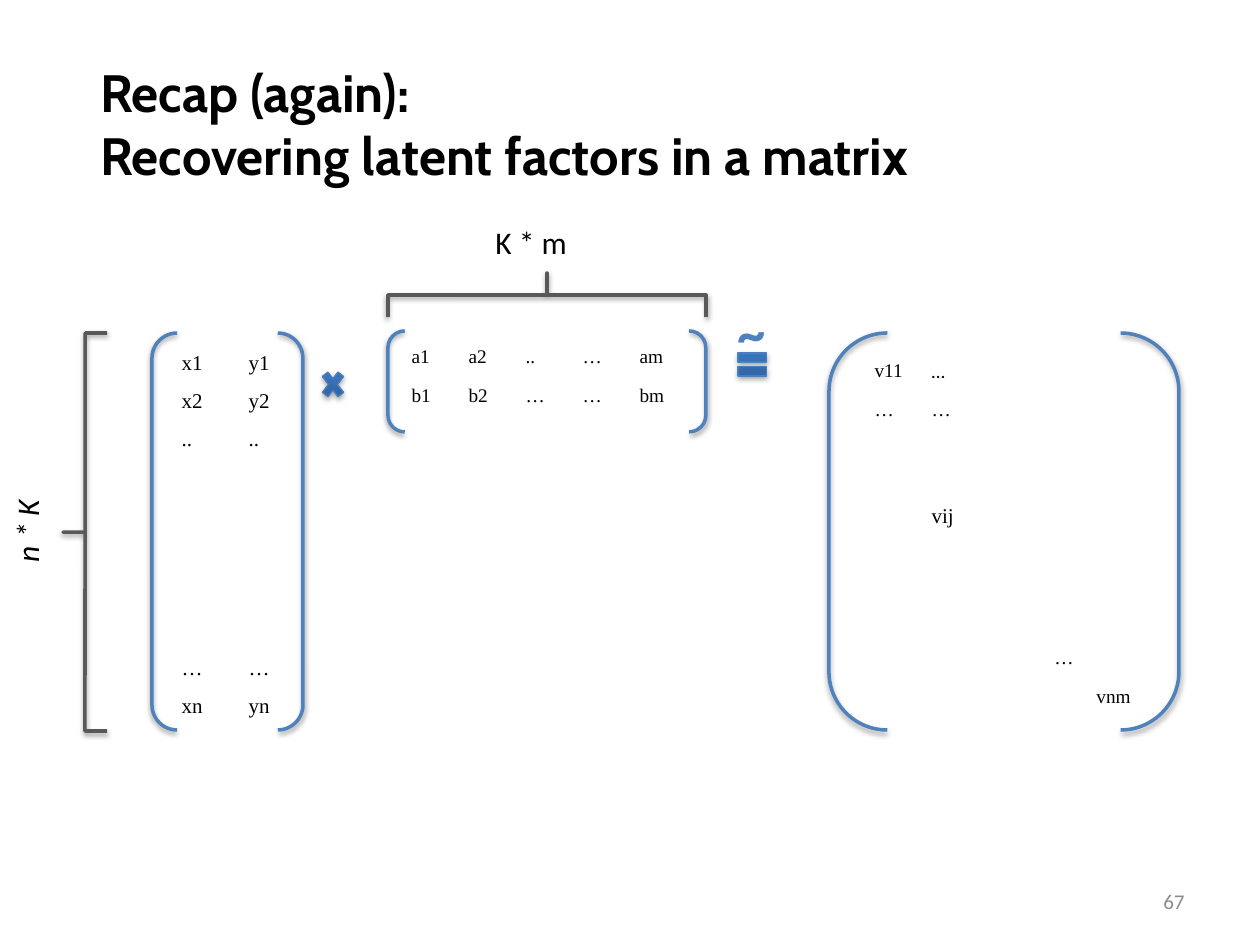
from dataclasses import dataclass, field
from typing import Any

from lxml.etree import SubElement
from pptx import Presentation
from pptx.dml.color import RGBColor
from pptx.enum.shapes import MSO_SHAPE
from pptx.enum.text import MSO_ANCHOR, MSO_AUTO_SIZE, PP_ALIGN
from pptx.oxml.ns import qn
from pptx.util import Emu, Pt

EMU_PER_PX = 914400 // 126


@dataclass(frozen=True)
class Theme:
    black: str = "000000"
    blue: str = "4F81BD"
    operator_line: str = "4B7EBC"
    operator_dark: str = "2F5F99"
    operator_light: str = "3D7CC7"
    brace: str = "595959"
    number: str = "8C8C8C"
    heading_font: str = "Cabin"
    body_font: str = "Calibri"
    matrix_font: str = "Times New Roman"
    title_size: int = 30
    tilde_size: int = 32
    label_size: int = 18
    number_size: int = 12
    large_cell: int = 12
    small_cell: int = 11


THEME = Theme()


@dataclass(frozen=True)
class Box:
    left: int
    top: int
    width: int
    height: int

    def emu(self) -> list[Emu]:
        return [px(value) for value in (self.left, self.top, self.width, self.height)]


@dataclass(frozen=True)
class Label:
    text: str
    box: Box
    size: int
    color: str = THEME.black
    font: dict[str, Any] = field(default_factory=dict)
    frame: dict[str, Any] = field(default_factory=dict)
    align: PP_ALIGN = PP_ALIGN.LEFT
    rotation: int = 0


@dataclass(frozen=True)
class Outline:
    kind: MSO_SHAPE
    box: Box
    color: str = THEME.blue
    rotation: int = 0
    adjustments: tuple[float, ...] = ()


@dataclass(frozen=True)
class Matrix:
    left: int
    top: int
    columns: list[int]
    row_height: int
    row_count: int
    size: int
    entries: dict[tuple[int, int], str]
    fonts: dict[tuple[int, int], str] = field(default_factory=dict)


def row(index: int, *texts: str) -> dict[tuple[int, int], str]:
    """Place texts in one matrix row, starting at the first column."""
    return {(index, column): text for column, text in enumerate(texts)}


NO_MARGINS = dict.fromkeys(("margin_left", "margin_top", "margin_right", "margin_bottom"), 0)
NO_WRAP = {"word_wrap": False}
BRACE = (0, 0.5)

LABELS = [
    Label("Recap (again):\vRecovering latent factors in a matrix", Box(100, 60, 1014, 127),
          THEME.title_size, font={"name": THEME.heading_font, "bold": True}, frame=NO_MARGINS),
    Label("K * m", Box(483, 217, 102, 50), THEME.label_size, frame=NO_WRAP),
    Label("n * K", Box(-20, 503, 93, 50), THEME.label_size,
          font={"italic": True}, frame=NO_WRAP, rotation=270),
    Label("~", Box(725, 291, 59, 81), THEME.tilde_size, THEME.blue,
          font={"bold": True}, frame=NO_WRAP),
    Label("67", Box(903, 876, 294, 50), THEME.number_size, THEME.number,
          frame={"vertical_anchor": MSO_ANCHOR.MIDDLE}, align=PP_ALIGN.RIGHT),
]

OUTLINES = [
    Outline(MSO_SHAPE.DOUBLE_BRACKET, Box(152, 333, 151, 397)),
    Outline(MSO_SHAPE.DOUBLE_BRACKET, Box(388, 331, 318, 101)),
    Outline(MSO_SHAPE.DOUBLE_BRACKET, Box(829, 333, 350, 397)),
    Outline(MSO_SHAPE.RIGHT_BRACE, Box(525, 136, 44, 318), THEME.brace, 270, BRACE),
    Outline(MSO_SHAPE.RIGHT_BRACE, Box(63, 333, 44, 398), THEME.brace, 180, BRACE),
]

OPERATORS = [
    Outline(MSO_SHAPE.MATH_MULTIPLY, Box(318, 365, 30, 39), THEME.operator_line),
    Outline(MSO_SHAPE.MATH_EQUAL, Box(733, 345, 39, 39), THEME.operator_line),
]

FIVE_COLUMNS = [57] * 5
MATRICES = [
    Matrix(169, 345, [67, 67], 38, 10, THEME.large_cell,
           row(0, "x1", "y1") | row(1, "x2", "y2") | row(2, "..", "..")
           | row(8, "…", "…") | row(9, "xn", "yn")),
    Matrix(399, 340, FIVE_COLUMNS, 39, 2, THEME.small_cell,
           row(0, "a1", "a2", "..", "…", "am") | row(1, "b1", "b2", "…", "…", "bm")),
    Matrix(862, 354, FIVE_COLUMNS, 39, 2, THEME.small_cell,
           row(0, "v11", "…") | row(1, "…", "…"), {(0, 1): THEME.body_font}),
    Matrix(862, 460, FIVE_COLUMNS, 39, 2, THEME.large_cell, {(1, 1): "vij"}),
    Matrix(862, 641, [60, 60, 60, 42, 78], 39, 2, THEME.small_cell,
           {(0, 3): "…", (1, 4): "vnm"}),
]


def px(value: int) -> Emu:
    return Emu(value * EMU_PER_PX)


def apply_format(target: Any, values: dict[str, Any]) -> None:
    for name, value in values.items():
        setattr(target, name, value)


def style_font(font: Any, size: int, color: str, values: dict[str, Any]) -> None:
    apply_format(font, {"name": THEME.body_font, "size": Pt(size)} | values)
    font.color.rgb = RGBColor.from_string(color)


def draw_label(slide: Any, label: Label) -> None:
    shape = slide.shapes.add_textbox(*label.box.emu())
    shape.rotation = label.rotation
    apply_format(shape.text_frame, {"word_wrap": True,
                                    "auto_size": MSO_AUTO_SIZE.SHAPE_TO_FIT_TEXT} | label.frame)
    paragraph = shape.text_frame.paragraphs[0]
    paragraph.text = label.text
    paragraph.alignment = label.align
    for run in paragraph.runs:
        style_font(run.font, label.size, label.color, label.font)


def add_shadow(shape: Any, opacity: int) -> None:
    shape.shadow.inherit = False
    effects = shape._element.spPr.find(qn("a:effectLst"))
    shadow = SubElement(effects, qn("a:outerShdw"), blurRad=str(Pt(3.1)), dist=str(Pt(1.6)),
                        dir="5400000", rotWithShape="0")
    color = SubElement(shadow, qn("a:srgbClr"), val=THEME.black)
    SubElement(color, qn("a:alpha"), val=str(opacity * 1000))


def draw_outline(slide: Any, outline: Outline, width: float = 2, opacity: int = 38) -> Any:
    shape = slide.shapes.add_shape(outline.kind, *outline.box.emu())
    shape.rotation = outline.rotation
    for index, value in enumerate(outline.adjustments):
        shape.adjustments[index] = value
    shape.fill.background()
    shape.line.color.rgb = RGBColor.from_string(outline.color)
    shape.line.width = Pt(width)
    add_shadow(shape, opacity)
    return shape


def draw_operator(slide: Any, operator: Outline) -> None:
    shape = draw_outline(slide, operator, width=0.75, opacity=35)
    shape.fill.gradient()
    shape.fill.gradient_angle = 90
    for stop, color in zip(shape.fill.gradient_stops, (THEME.operator_dark, THEME.operator_light)):
        stop.color.rgb = RGBColor.from_string(color)


def draw_matrix(slide: Any, matrix: Matrix) -> None:
    box = Box(matrix.left, matrix.top, sum(matrix.columns), matrix.row_height * matrix.row_count)
    table = slide.shapes.add_table(matrix.row_count, len(matrix.columns), *box.emu()).table
    apply_format(table, {"first_row": False, "horz_banding": False})
    table._tbl.tblPr.find(qn("a:tableStyleId")).text = "{2D5ABB26-0587-4C30-8999-92F81FD0307C}"
    for column, width in zip(table.columns, matrix.columns):
        column.width = px(width)
    for row_index, table_row in enumerate(table.rows):
        table_row.height = px(matrix.row_height)
        for column_index, cell in enumerate(table_row.cells):
            cell.fill.background()
            position = (row_index, column_index)
            paragraph = cell.text_frame.paragraphs[0]
            if position in matrix.entries:
                run = paragraph.add_run()
                run.text = matrix.entries[position]
                font_name = matrix.fonts.get(position, THEME.matrix_font)
                style_font(run.font, matrix.size, THEME.black, {"name": font_name})
            else:
                SubElement(paragraph._p, qn("a:endParaRPr"), sz=str(matrix.size * 100))


def main() -> None:
    presentation = Presentation()
    apply_format(presentation, {"slide_width": px(1260), "slide_height": px(945)})
    slide = presentation.slides.add_slide(presentation.slide_layouts[6])
    for draw, items in ((draw_outline, OUTLINES), (draw_operator, OPERATORS),
                        (draw_matrix, MATRICES), (draw_label, LABELS)):
        for item in items:
            draw(slide, item)
    presentation.save("out.pptx")


if __name__ == "__main__":
    main()
